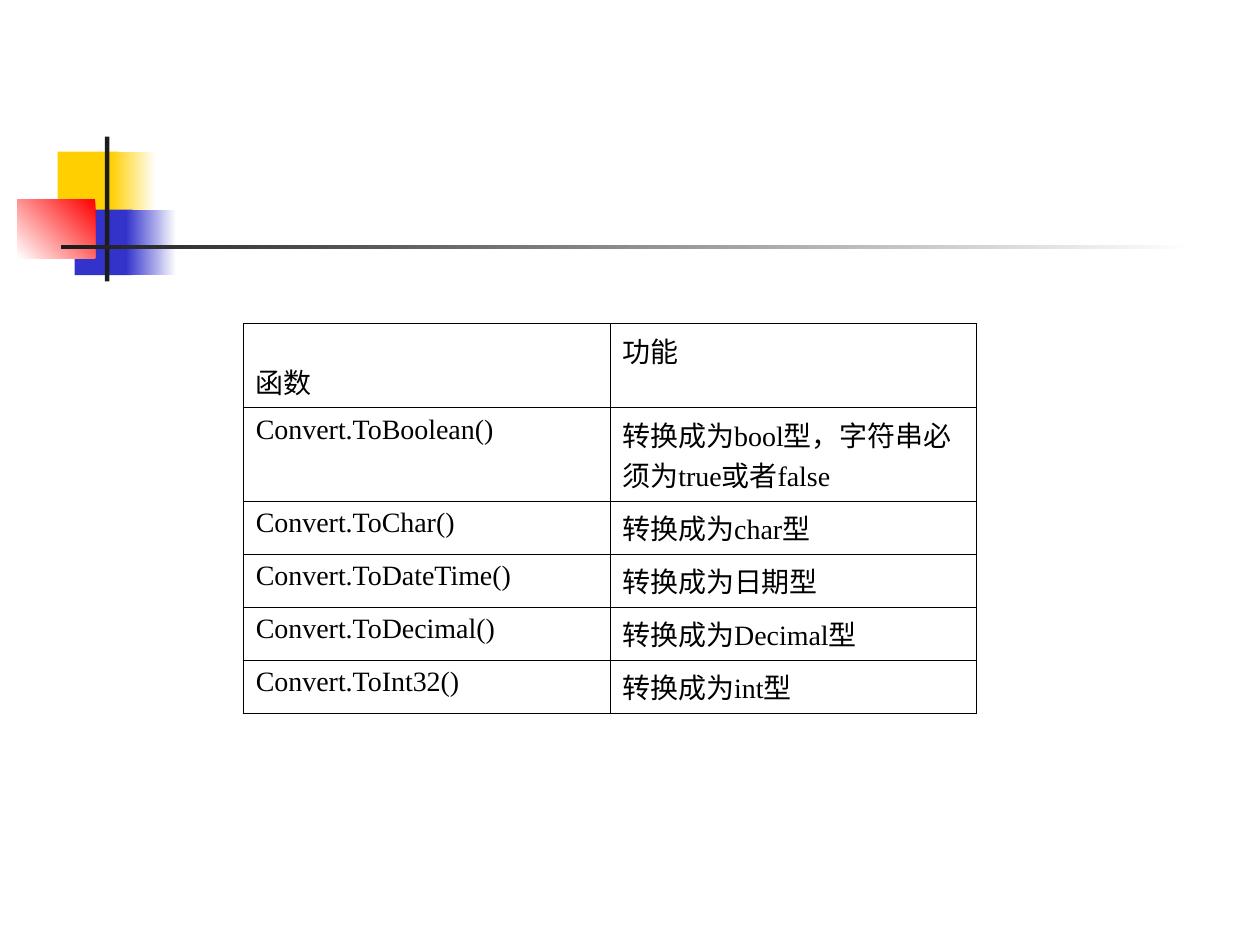
from lxml import etree
from pptx import Presentation
from pptx.dml.color import RGBColor
from pptx.enum.shapes import MSO_SHAPE
from pptx.enum.text import MSO_ANCHOR
from pptx.oxml.ns import qn
from pptx.util import Pt

RECTANGLE = MSO_SHAPE.RECTANGLE
TOP, BOTTOM = MSO_ANCHOR.TOP, MSO_ANCHOR.BOTTOM

COLORS = {
    "white": "FFFFFF", "yellow": "FFCF01", "blue": "3333CC",
    "red": "FF0000", "dark": "1C1C1C", "black": "000000",
}
FONT = "Times New Roman"
ROWS = [
    ("函数", "功能"),
    ("Convert.ToBoolean()", "转换成为bool型，字符串必须为true或者false"),
    ("Convert.ToChar()", "转换成为char型"),
    ("Convert.ToDateTime()", "转换成为日期型"),
    ("Convert.ToDecimal()", "转换成为Decimal型"),
    ("Convert.ToInt32()", "转换成为int型"),
]
ROW_HEIGHTS = [48, 46, 26.6, 26.6, 26.6, 26.6]


def rgb(name):
    return RGBColor.from_string(COLORS[name])


def add_block(page, left, top, width, height, colors, angle=180):
    """Add a borderless rectangle: one color is solid, two are a gradient."""
    block = page.shapes.add_shape(
        RECTANGLE, Pt(left), Pt(top), Pt(width), Pt(height))
    block.shadow.inherit = False
    block.line.fill.background()
    if len(colors) == 1:
        block.fill.solid()
        block.fill.fore_color.rgb = rgb(colors[0])
        return
    block.fill.gradient()
    block.fill.gradient_angle = angle
    for stop, color in zip(block.fill.gradient_stops, colors):
        stop.color.rgb = rgb(color)


def add_decoration(page, left, top):
    """Overlapping color blocks with a crosshair and a fading rule."""
    blocks = [
        (23, 8.6, 34.6, 37.4, ["yellow"]),
        (53.2, 8.6, 26, 37.4, ["white", "yellow"]),
        (32.6, 41.8, 33.1, 37.4, ["blue"]),
        (62, 41.8, 28.8, 37.4, ["white", "blue"]),
        (0, 36, 44.4, 33.5, ["red", "white"], 225),
        (50, 0, 2.5, 82.8, ["dark"]),
        (25, 62, 648, 2.5, ["white", "dark"]),
    ]
    for x, y, *rest in blocks:
        add_block(page, left + x, top + y, *rest)


def set_borders(cell, width, color):
    properties = cell._tc.get_or_add_tcPr()
    for side in ("lnL", "lnR", "lnT", "lnB"):
        line = etree.SubElement(properties, qn(f"a:{side}"), w=str(Pt(width)))
        fill = etree.SubElement(line, qn("a:solidFill"))
        etree.SubElement(fill, qn("a:srgbClr"), val=COLORS[color])


def add_function_table(page, left, top, width):
    """Two equal columns: conversion function and what it does."""
    frame = page.shapes.add_table(
        len(ROWS), 2, Pt(left), Pt(top), Pt(width), Pt(sum(ROW_HEIGHTS)))
    table = frame.table
    table.first_row = table.horz_banding = False
    for row, height in zip(table.rows, ROW_HEIGHTS):
        row.height = Pt(height)
    for row, texts in zip(table.rows, ROWS):
        for cell, text in zip(row.cells, texts):
            set_borders(cell, 0.45, "black")
            cell.fill.background()
            cell.vertical_anchor = TOP
            cell.text = text
            font = cell.text_frame.paragraphs[0].font
            font.name, font.size = FONT, Pt(16)
            font.color.rgb = rgb("black")
    # The first heading sits at the foot of its cell
    table.cell(0, 0).vertical_anchor = BOTTOM


def main():
    deck = Presentation()
    deck.slide_width, deck.slide_height = Pt(720), Pt(540)
    page = deck.slides.add_slide(deck.slide_layouts[6])
    add_decoration(page, 10, 78)
    add_function_table(page, 139, 185, 419)
    deck.save("out.pptx")


if __name__ == "__main__":
    main()
